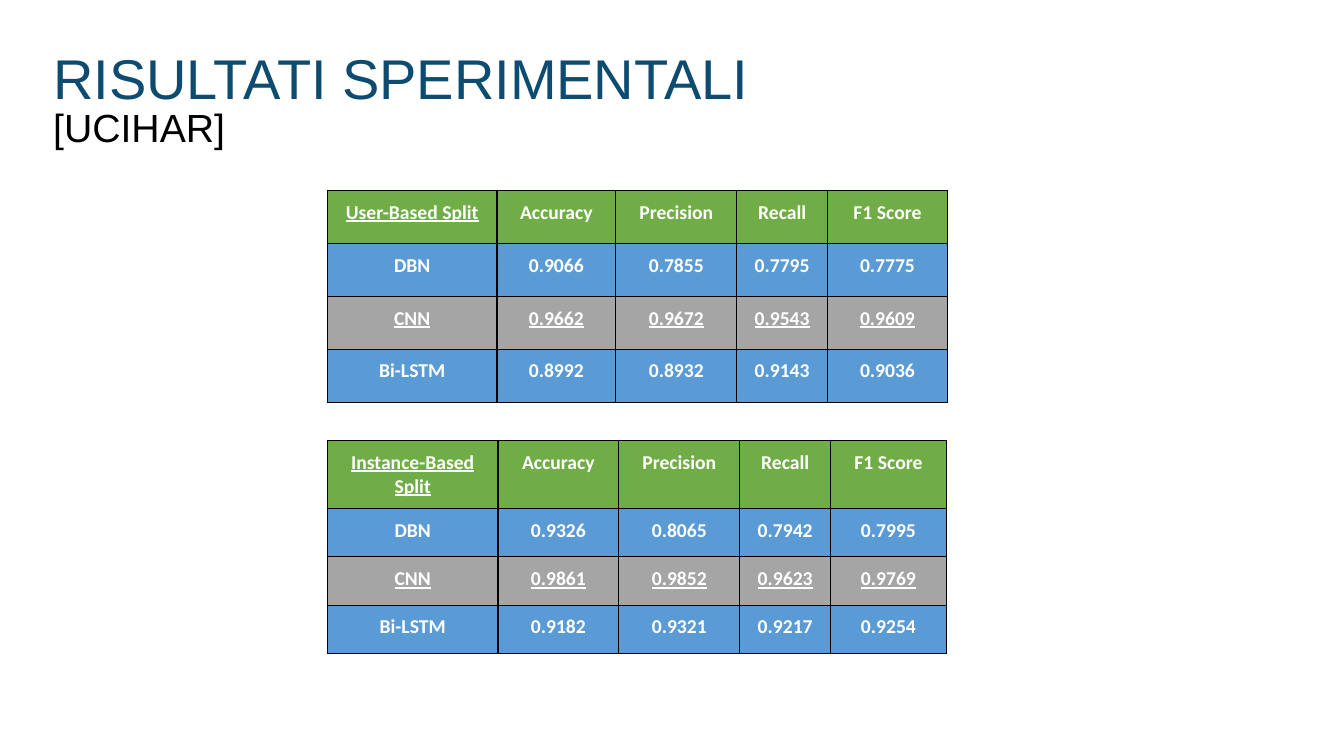
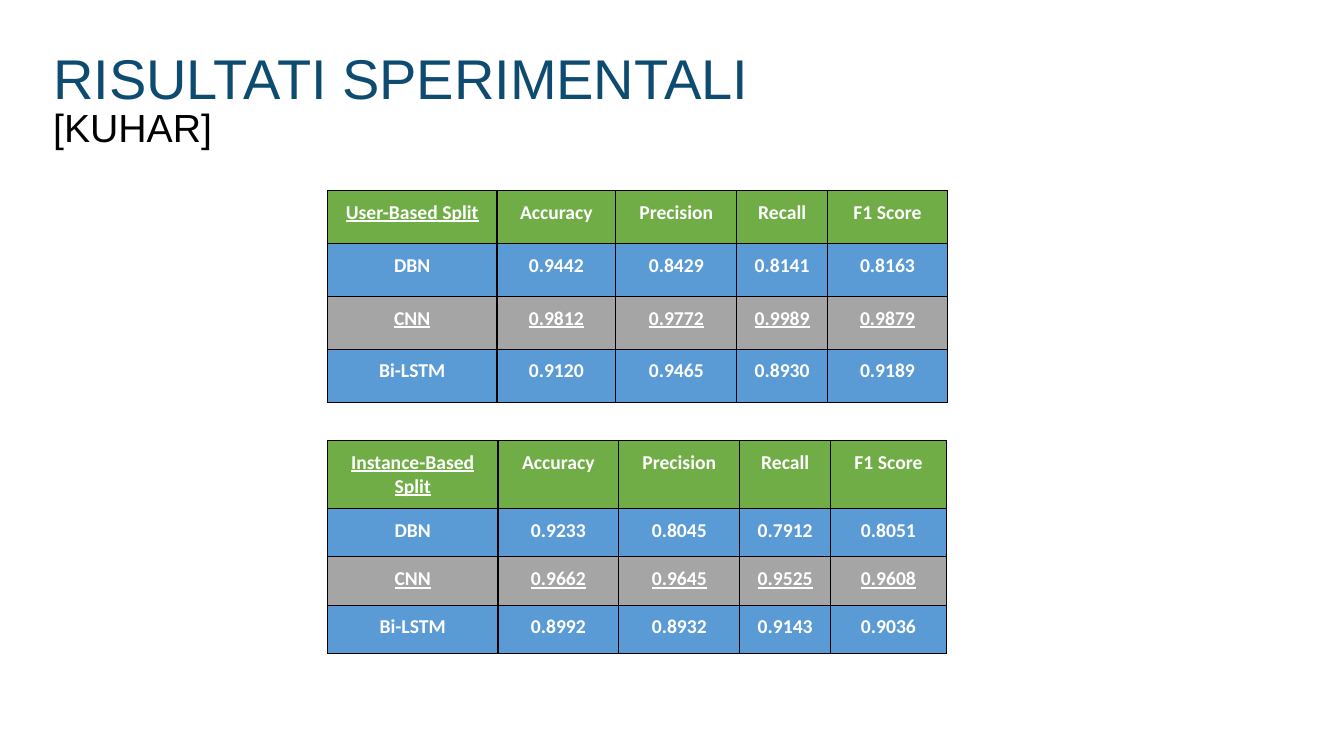
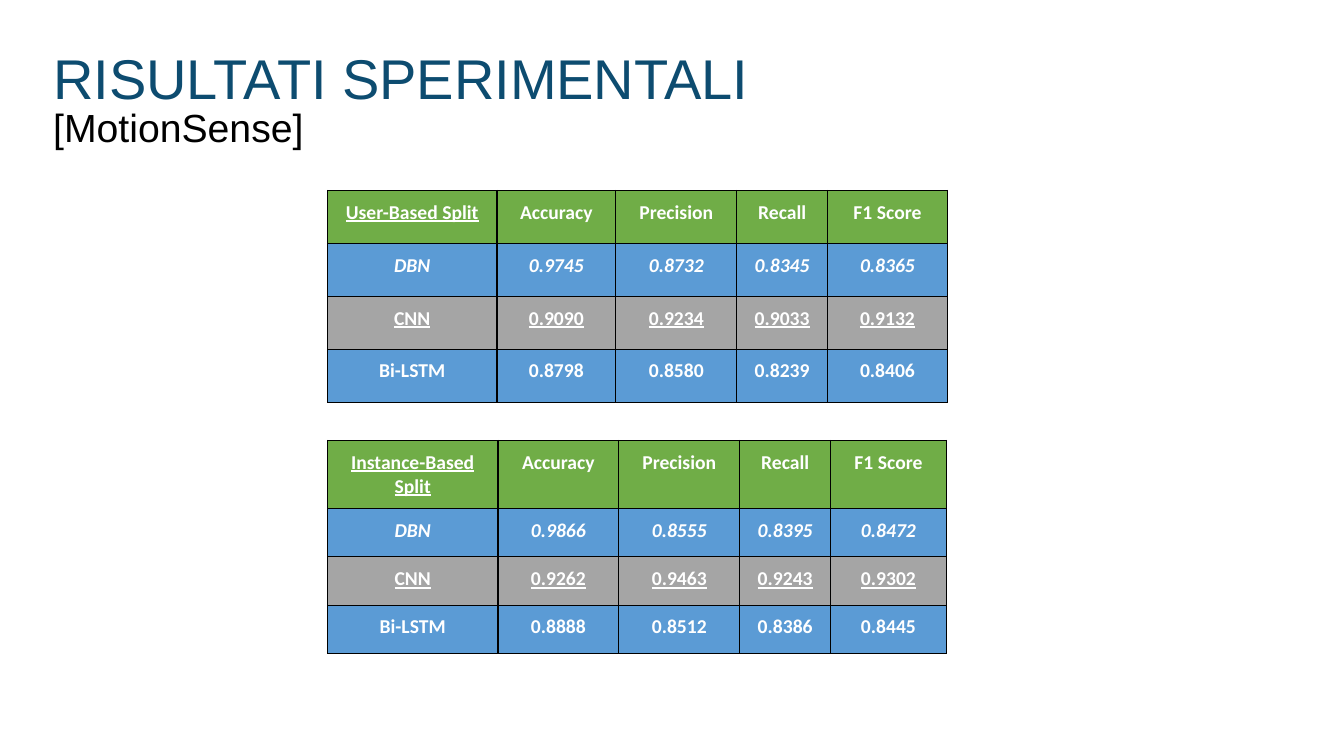
"""Build three slides of experimental results, each with two score tables."""
from dataclasses import dataclass

from lxml import etree
from pptx import Presentation
from pptx import util as u
from pptx.dml.color import RGBColor
from pptx.enum import text
from pptx.oxml.ns import qn


@dataclass(frozen=True)
class Theme:
    """Colours, fonts and type sizes of the deck."""
    title: str = "0D4C70"
    subtitle: str = "000000"
    header: str = "70AD47"
    row: str = "5B9BD5"
    highlight: str = "A5A5A5"
    cell_text: str = "FFFFFF"
    border: str = "000000"
    heading_font: str = "Arial"
    table_font: str = "Calibri"
    title_pt: int = 40
    subtitle_pt: int = 28
    cell_pt: int = 14
    border_pt: float = 1


@dataclass(frozen=True)
class Box:
    """A rectangle in grid columns and rows."""
    x: float
    y: float
    w: float
    h: float


@dataclass(frozen=True)
class Split:
    """Label, top and grid sizes of one kind of table."""
    label: str
    top: float
    cols: tuple[float, ...]
    rows: tuple[float, ...]


@dataclass(frozen=True)
class Dataset:
    """Scores of every model, one block of rows per split."""
    name: str
    scores: tuple[str, ...]
    italic_models: tuple[str, ...] = ()


THEME = Theme()
CELL = u.Inches(1 / 6)
GRID_COLS, GRID_ROWS = 80, 45
TITLE = "RISULTATI SPERIMENTALI"
TITLE_BOX = Box(2.58, 2.76, 71.22, 3.66)
SUBTITLE_BOX = Box(2.58, 6.18, 71.22, 3.66)
TABLE_LEFT = 19.5
METRICS = ("Accuracy", "Precision", "Recall", "F1 Score")
MODELS = ("DBN", "CNN", "Bi-LSTM")
BEST_MODEL = "CNN"
SPLITS = (
    Split("User-Based Split", 11.34, (10.08, 7.08, 7.2, 5.4, 7.14), (3.15,) * 4),
    Split("Instance-Based Split", 26.22, (10.14, 7.2, 7.2, 5.4, 6.9),
          (3.96, 2.88, 2.88, 2.88)),
)
DATASETS = (
    Dataset("[UCIHAR]", (
        "0.9066 0.7855 0.7795 0.7775",
        "0.9662 0.9672 0.9543 0.9609",
        "0.8992 0.8932 0.9143 0.9036",
        "0.9326 0.8065 0.7942 0.7995",
        "0.9861 0.9852 0.9623 0.9769",
        "0.9182 0.9321 0.9217 0.9254")),
    Dataset("[KUHAR]", (
        "0.9442 0.8429 0.8141 0.8163",
        "0.9812 0.9772 0.9989 0.9879",
        "0.9120 0.9465 0.8930 0.9189",
        "0.9233 0.8045 0.7912 0.8051",
        "0.9662 0.9645 0.9525 0.9608",
        "0.8992 0.8932 0.9143 0.9036")),
    Dataset("[MotionSense]", (
        "0.9745 0.8732 0.8345 0.8365",
        "0.9090 0.9234 0.9033 0.9132",
        "0.8798 0.8580 0.8239 0.8406",
        "0.9866 0.8555 0.8395 0.8472",
        "0.9262 0.9463 0.9243 0.9302",
        "0.8888 0.8512 0.8386 0.8445"), ("DBN",)),
)


def grid(n: float) -> int:
    """Convert grid units to a length."""
    return round(n * CELL)


def add_run(p, words: str, font: str, pt: float, color: str):
    """Add a formatted run to a paragraph and return it."""
    r = p.add_run()
    r.text = words
    r.font.name = font
    r.font.size = u.Pt(pt)
    r.font.color.rgb = RGBColor.from_string(color)
    return r


def write_heading(sp, box: Box, words: str, pt: float, color: str) -> None:
    """Place a heading shape and write its single line."""
    sp.left, sp.top = grid(box.x), grid(box.y)
    sp.width, sp.height = grid(box.w), grid(box.h)
    tf = sp.text_frame
    tf.word_wrap = True
    tf.auto_size = text.MSO_AUTO_SIZE.NONE
    tf.vertical_anchor = text.MSO_ANCHOR.TOP
    p = tf.paragraphs[0]
    p.alignment = text.PP_ALIGN.LEFT
    p.line_spacing = 0.9
    add_run(p, words, THEME.heading_font, pt, color)


def add_borders(cell) -> None:
    """Draw a line on all four sides of a cell."""
    tc_pr = cell._tc.get_or_add_tcPr()
    for side in ("a:lnL", "a:lnR", "a:lnT", "a:lnB"):
        ln = etree.SubElement(tc_pr, qn(side), w=str(u.Pt(THEME.border_pt)))
        fill = etree.SubElement(ln, qn("a:solidFill"))
        etree.SubElement(fill, qn("a:srgbClr"), val=THEME.border)


def write_cell(cell, words: str, fill: str, underline: bool, italic: bool) -> None:
    """Format one table cell and write its text."""
    cell.margin_left = cell.margin_right = u.Inches(0.1)
    cell.margin_top = cell.margin_bottom = u.Inches(0.1)
    add_borders(cell)
    cell.fill.solid()
    cell.fill.fore_color.rgb = RGBColor.from_string(fill)
    p = cell.text_frame.paragraphs[0]
    p.alignment = text.PP_ALIGN.CENTER
    r = add_run(p, words, THEME.table_font, THEME.cell_pt, THEME.cell_text)
    r.font.bold = True
    r.font.underline = underline
    r.font.italic = italic


def add_scores(s, split: Split, scores: tuple[str, ...], italic_models: tuple[str, ...]) -> None:
    """Add the score table of one split."""
    lines = [(split.label, *METRICS)]
    lines += [(model, *line.split()) for model, line in zip(MODELS, scores)]
    table = s.shapes.add_table(
        len(split.rows), len(split.cols), grid(TABLE_LEFT), grid(split.top),
        grid(sum(split.cols)), grid(sum(split.rows))).table
    table.first_row = table.horz_banding = False
    for column, width in zip(table.columns, split.cols):
        column.width = grid(width)
    for i, (line, height) in enumerate(zip(lines, split.rows)):
        table.rows[i].height = grid(height)
        best = line[0] == BEST_MODEL
        fill = THEME.header if i == 0 else THEME.highlight if best else THEME.row
        for j, words in enumerate(line):
            underline = best or i == j == 0
            write_cell(table.cell(i, j), words, fill, underline, line[0] in italic_models)


def add_results(prs, data: Dataset) -> None:
    """Add the slide of one dataset."""
    s = prs.slides.add_slide(prs.slide_layouts.get_by_name("Title Only"))
    write_heading(s.shapes.title, TITLE_BOX, TITLE, THEME.title_pt, THEME.title)
    write_heading(s.shapes.add_textbox(0, 0, 0, 0), SUBTITLE_BOX, data.name,
                  THEME.subtitle_pt, THEME.subtitle)
    n = len(MODELS)
    for k, split in enumerate(SPLITS):
        add_scores(s, split, data.scores[k * n:(k + 1) * n], data.italic_models)


def main() -> None:
    """Build and save the deck."""
    prs = Presentation()
    prs.slide_width, prs.slide_height = grid(GRID_COLS), grid(GRID_ROWS)
    for data in DATASETS:
        add_results(prs, data)
    prs.save("out.pptx")


if __name__ == "__main__":
    main()
